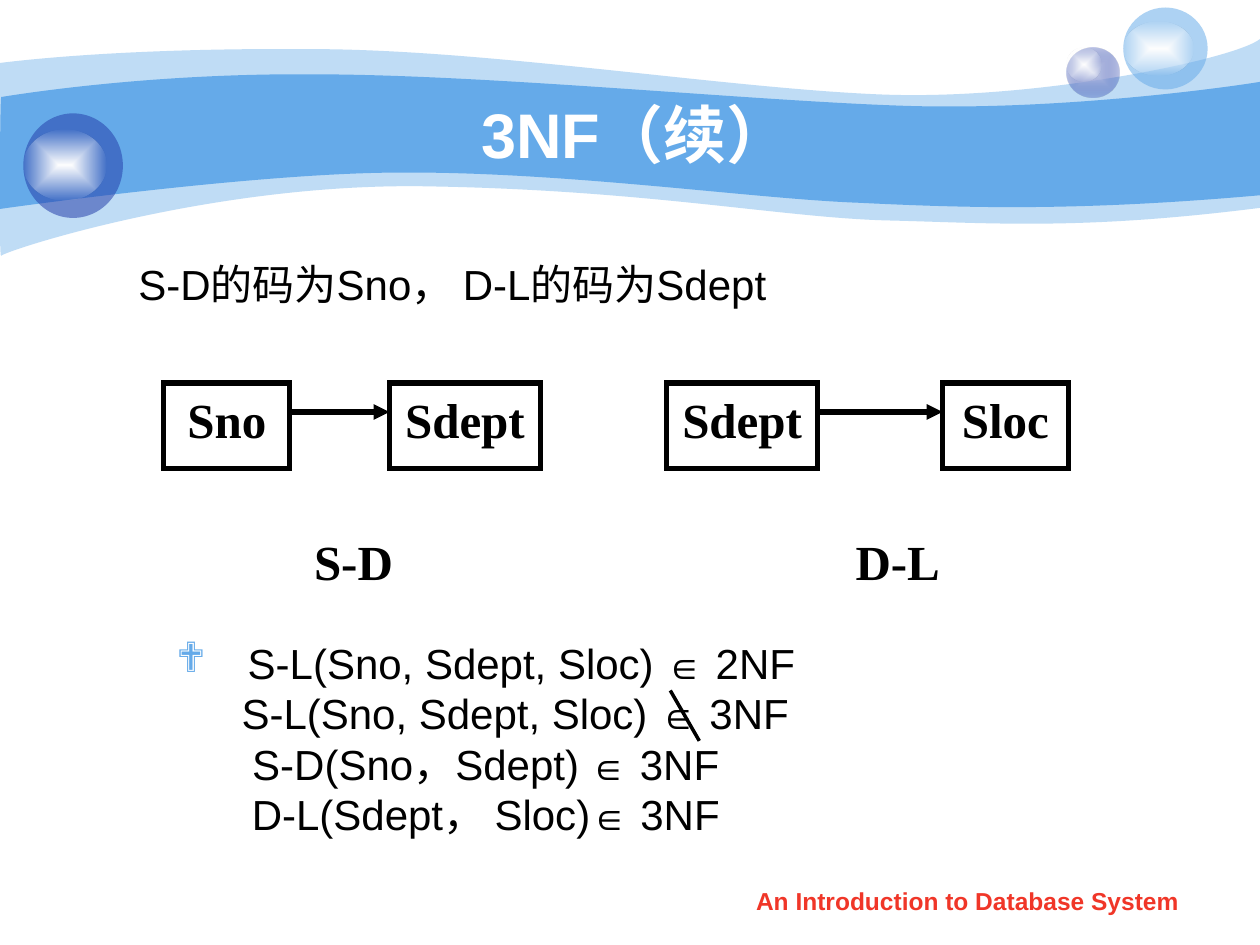
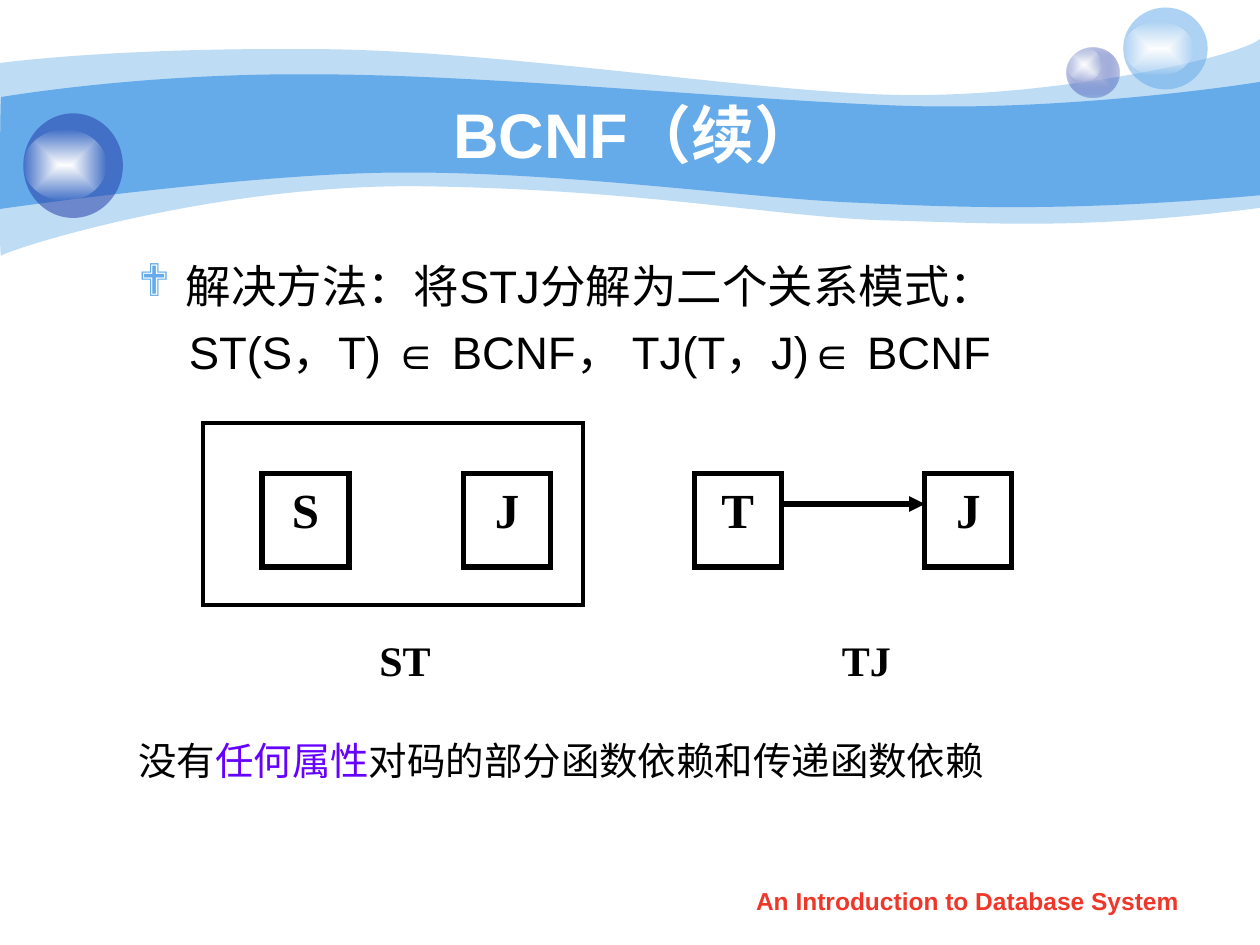
from pptx import Presentation
from pptx.dml.color import RGBColor as Rgb
from pptx.enum.shapes import MSO_CONNECTOR as Conn, MSO_SHAPE as Kind
from pptx.enum.text import MSO_ANCHOR as Anchor, PP_ALIGN as Align
from pptx.oxml import parse_xml as to_xml
from pptx.oxml.ns import nsdecls, qn
from pptx.util import Inches, Pt

SKY = Rgb(0x65, 0xAA, 0xE9)
NAVY = Rgb(0x23, 0x3D, 0xA9)
PALE = Rgb(0xC7, 0xCE, 0xE9)
WHITE = Rgb(0xFF, 0xFF, 0xFF)
BLACK = Rgb(0, 0, 0)
RED = Rgb(0xF0, 0x36, 0x28)
VIOLET = Rgb(0x66, 0x00, 0xFF)
SANS, SERIF = "Arial", "Times New Roman"

deck = Presentation()
deck.slide_width, deck.slide_height = Inches(10), Inches(7.5)
COL = deck.slide_width / 100
ROW = deck.slide_height / 75

BANDS = [
    ((0, 5), [
        [(2.4, 4.7), (10.7, 3.8), (24.7, 3.9)],
        [(38.6, 3.9), (57.5, 7), (69.9, 7.5)],
        [(82.2, 8), (98, 4.7), (100, 3.1)],
        [(100, 16.5)],
        [(85.8, 18.3), (78.7, 17.7), (70.5, 17.5)],
        [(62.2, 17.3), (51.5, 15.1), (34.3, 14.8)],
        [(17.2, 14.4), (0.4, 19.9), (0.1, 20.3)],
        [(-0.1, 20.8), (0, 7.5), (0, 5)],
    ], 41),
    ((0.1, 7.7), [
        [(0.2, 7.7), (11, 5.8), (24.8, 5.9)],
        [(38.6, 5.9), (59.5, 8), (71.8, 8.4)],
        [(84.1, 8.8), (97.6, 6.9), (100, 6.5)],
        [(100, 15.5)],
        [(85.3, 16.8), (76.5, 16.5), (68.2, 16.1)],
        [(59.9, 15.8), (44.7, 13.6), (31.7, 13.7)],
        [(20.3, 13.7), (-0.2, 16.6), (-0.1, 16.6)],
        [(0, 16.6), (0, 7.7), (0.1, 7.7)],
    ], 100),
]
GLOW = [(WHITE, 100), (WHITE, 0)]
ORBS = [
    ((84.65, 3.75, 4.2, 4), [(PALE, 100), (NAVY, 31)]),
    ((84.65, 3.75, 2.8, 2.7), GLOW),
    ((89.15, 0.6, 6.7, 6.5), [(SKY, 53)]),
    ((89.15, 1.7, 5.6, 4.3), GLOW),
    ((1.85, 9, 7.9, 8.3), [(NAVY, 53)]),
    ((1.85, 10.3, 6.6, 5.6), GLOW),
]


def add_box(slide, at, edge=0):
    x, y, w, h = at
    spot = [int(n) for n in (x * COL, y * ROW, w * COL, h * ROW)]
    if edge:
        shape = slide.shapes.add_shape(Kind.RECTANGLE, *spot)
        shape.fill.background()
        shape.shadow.inherit = False
        shape.line.color.rgb = BLACK
        shape.line.width = Pt(edge)
        line = shape.element.spPr.find(qn("a:ln"))
        line.append(to_xml(f'<a:miter {nsdecls("a")} lim="800000"/>'))
    else:
        shape = slide.shapes.add_textbox(*spot)
    shape.text_frame.word_wrap = True
    shape.text_frame.vertical_anchor = Anchor.TOP
    return shape.text_frame


def add_text(frame, runs, font=SANS, bold=False, align=Align.LEFT, left=0, hang=0, gap=0):
    para = frame.paragraphs[0]
    if para.runs:
        para = frame.add_paragraph()
    para.alignment = align
    para.space_before = Pt(gap)
    props = para._p.get_or_add_pPr()
    props.set("marL", str(int(left * COL)))
    props.set("indent", str(int(-hang * COL)))
    if hang:
        props.append(to_xml(f'<a:buClr {nsdecls("a")}><a:srgbClr val="{SKY}"/></a:buClr>'))
        props.append(to_xml(f'<a:buFont {nsdecls("a")} typeface="Wingdings" charset="2"/>'))
        props.append(to_xml(f'<a:buChar {nsdecls("a")} char="❖"/>'))
    for words, size, ink in runs:
        run = para.add_run()
        run.text = words
        run.font.name = font
        run.font.size = Pt(size)
        run.font.bold = bold
        run.font.color.rgb = ink


third, boyce = pages = [deck.slides.add_slide(deck.slide_layouts[6]) for _ in range(2)]

art = []
for start, parts, alpha in BANDS:
    pen = third.shapes.build_freeform(int(start[0] * COL), int(start[1] * ROW))
    pen.add_line_segments([(int(p[-1][0] * COL), int(p[-1][1] * ROW)) for p in parts])
    band = pen.convert_to_shape()
    for part, leg in zip(parts, list(band.element.iter(qn("a:lnTo")))):
        if len(part) == 3:
            dots = "".join(
                f'<a:pt x="{int(x * COL) - band.left}" y="{int(y * ROW) - band.top}"/>'
                for x, y in part)
            curve = to_xml(f'<a:cubicBezTo {nsdecls("a")}>{dots}</a:cubicBezTo>')
            leg.getparent().replace(leg, curve)
    art.append((band, [(SKY, alpha)]))
for (x, y, w, h), stops in ORBS:
    orb = third.shapes.add_shape(
        Kind.OVAL, int(x * COL), int(y * ROW), int(w * COL), int(h * ROW))
    art.append((orb, stops))
for order, (shape, stops) in enumerate(art):
    shape.shadow.inherit = False
    shape.line.fill.background()
    shape.fill.background()
    inks = [f'<a:srgbClr val="{ink}"><a:alpha val="{alpha * 1000}"/></a:srgbClr>'
            for ink, alpha in stops]
    if len(inks) == 1:
        fill = f'<a:solidFill {nsdecls("a")}>{inks[0]}</a:solidFill>'
    else:
        fill = (f'<a:gradFill {nsdecls("a")}><a:gsLst>'
                f'<a:gs pos="0">{inks[0]}</a:gs><a:gs pos="100000">{inks[1]}</a:gs>'
                '</a:gsLst><a:path path="rect"><a:fillToRect l="50000" t="50000" '
                'r="50000" b="50000"/></a:path></a:gradFill>')
    props = shape.element.spPr
    props.replace(props.find(qn("a:noFill")), to_xml(fill))
    shape.element.nvSpPr.cNvPr.set("id", str(100 + order))
    deck.slide_master.shapes.element.append(shape.element)

for slide, title in zip(pages, ("3NF（续）", "BCNF（续）")):
    frame = add_box(slide, (57.1, 69.8, 39.4, 3.5))
    add_text(frame, [("An Introduction to Database System", 14, RED)],
             bold=True, align=Align.CENTER)
    frame = add_box(slide, (10, 7.5, 80.8, 6.2))
    frame.vertical_anchor = Anchor.MIDDLE
    add_text(frame, [(title, 36, WHITE)], bold=True, align=Align.CENTER)

frame = add_box(third, (5, 20, 90, 49.2))
add_text(frame, [("S-D的码为Sno， D-L的码为Sdept", 24, BLACK)], left=5)

frame = add_box(boyce, (10, 20, 85, 45))
add_text(frame, [("解决方法：将STJ分解为二个关系模式：", 26, BLACK)], left=3.75, hang=3.75)
add_text(frame, [("ST(S，T) ∈ BCNF， TJ(T，J)∈ BCNF", 26, BLACK)], left=4, gap=6.5)
add_text(frame, [("没有", 22, BLACK), ("任何属性", 22, VIOLET),
                 ("对码的部分函数依赖和传递函数依赖", 22, BLACK)], gap=205)

NODES = [
    (third, 30.4, 6.8, 3, 28, [("Sno", 13, 10), ("Sdept", 30.9, 12),
                               ("Sdept", 52.9, 12), ("Sloc", 74.8, 10)]),
    (third, 41.7, 6.8, 0, 28, [("S-D", 23, 10.1), ("D-L", 66.8, 8.9)]),
    (boyce, 37.6, 7.4, 3, 28, [("S", 20.8, 6.9), ("J", 36.8, 6.9),
                               ("T", 55.1, 6.9), ("J", 73.4, 6.9)]),
    (boyce, 49.9, 7.4, 0, 24, [("ST", 27.6, 9.1), ("TJ", 64.2, 9.1)]),
]
for slide, top, high, edge, size, row in NODES:
    for name, left, wide in row:
        frame = add_box(slide, (left, top, wide, high), edge)
        add_text(frame, [(name, size, BLACK)], SERIF, True, Align.CENTER)

add_box(boyce, (16.1, 33.6, 30.15, 14.45), 2.25)

frame = add_box(third, (9.8, 50.1, 57.5, 17))
FORMS = [
    ("S-L(Sno, Sdept, Sloc) ", "∈", " 2NF", 5.66, 5.66),
    ("S-L(Sno, Sdept, Sloc) ", "∈", " 3NF", 4.68, 0),
    ("S-D(Sno，Sdept)", " ∈", " 3NF", 0, 0),
    ("D-L(Sdept， Sloc)", "∈", " 3NF", 0, 0),
]
for name, sign, form, left, hang in FORMS:
    add_text(frame, [(name, 24, BLACK), (sign, 22, BLACK), (form, 24, BLACK)],
             align=Align.CENTER, left=left, hang=hang)

LINKS = [
    (third, (23, 32.7), (30.9, 32.7), 3, True),
    (third, (64.9, 32.7), (74.8, 32.7), 3, True),
    (third, (53.2, 54.8), (55.5, 58.8), 2, False),
    (boyce, (61.9, 40), (73.4, 40), 3, True),
]
for slide, (x1, y1), (x2, y2), width, arrow in LINKS:
    link = slide.shapes.add_connector(
        Conn.STRAIGHT, int(x1 * COL), int(y1 * ROW), int(x2 * COL), int(y2 * ROW))
    link.line.color.rgb = BLACK
    link.line.width = Pt(width)
    props = link.element.spPr
    if arrow:
        props.find(qn("a:ln")).append(to_xml(f'<a:tailEnd {nsdecls("a")} type="triangle"/>'))
    props.append(to_xml(f'<a:effectLst {nsdecls("a")}/>'))

deck.save("out.pptx")
